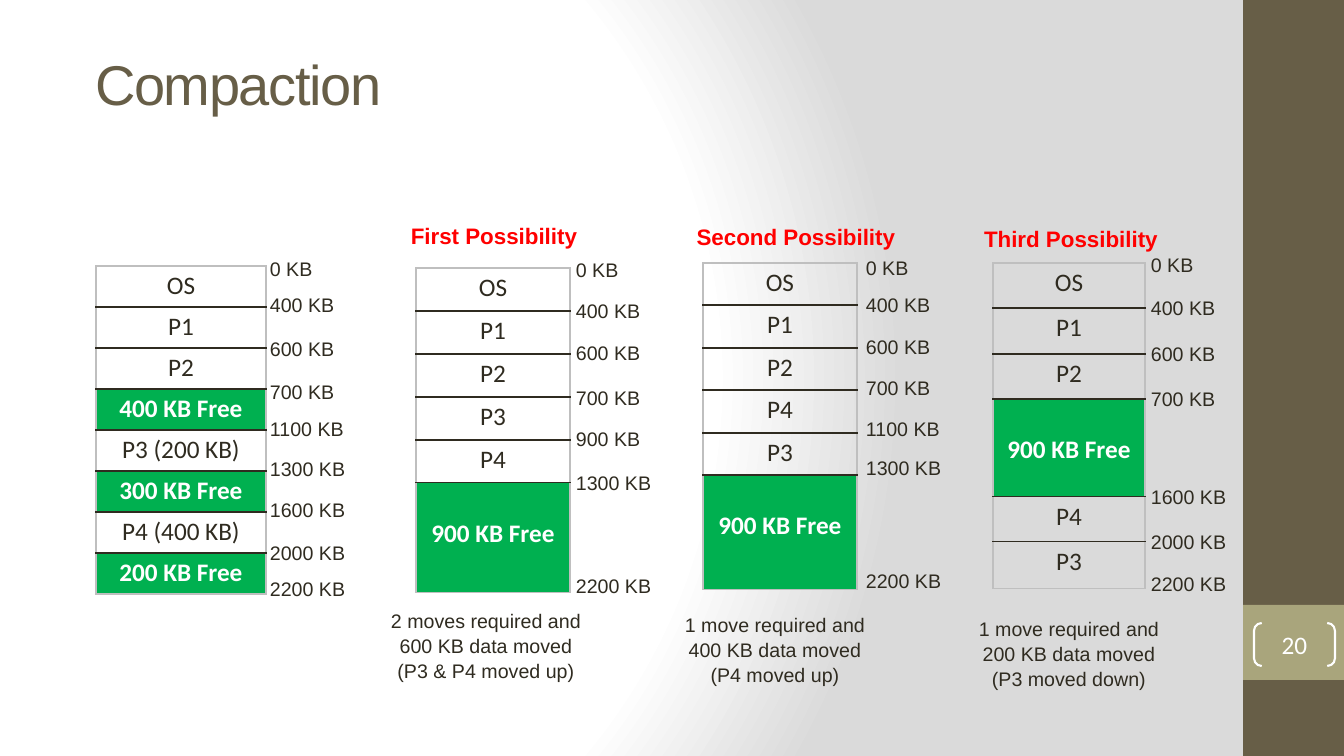
from lxml import etree
from pptx import Presentation
from pptx import util as u
from pptx.dml.color import RGBColor
from pptx.enum import shapes, text
from pptx.oxml import parse_xml

PX = u.Inches(7.5) / 756
DARK = RGBColor(0x2F, 0x2B, 0x20)
BROWN = RGBColor(0x67, 0x5E, 0x47)
OLIVE = RGBColor(0xA9, 0xA5, 0x7C)
GREEN = RGBColor(0x00, 0xB0, 0x50)
RED = RGBColor(0xFF, 0x00, 0x00)
WHITE = RGBColor(0xFF, 0xFF, 0xFF)
GREY = RGBColor(0xBF, 0xBF, 0xBF)
NS = "http://schemas.openxmlformats.org/drawingml/2006/main"
NSP = "http://schemas.openxmlformats.org/presentationml/2006/main"


def px(*nums):
    return [u.Emu(round(n * PX)) for n in nums]


def write(frame, words, size=14, face="Arial", color=DARK, bold=False,
          align=text.PP_ALIGN.CENTER, space=1.0):
    para = frame.paragraphs[0]
    para.alignment = align
    para.line_spacing = space
    run = para.add_run()
    run.text = words
    run.font.size = u.Pt(size)
    run.font.name = face
    run.font.bold = bold
    run.font.color.rgb = color
    return run


deck = Presentation()
deck.slide_width, deck.slide_height = px(1344, 756)
slide = deck.slides.add_slide(deck.slide_layouts[5])

slide.element.cSld.insert(0, parse_xml(f"""
<p:bg xmlns:p="{NSP}" xmlns:a="{NS}"><p:bgPr><a:gradFill rotWithShape="1"><a:gsLst>
<a:gs pos="0"><a:srgbClr val="FFFFFF"/></a:gs>
<a:gs pos="75000"><a:srgbClr val="FFFFFF"/></a:gs>
<a:gs pos="100000"><a:srgbClr val="DADADA"/></a:gs></a:gsLst>
<a:path path="circle"><a:fillToRect l="20000" t="50000" r="100000" b="50000"/></a:path>
</a:gradFill><a:effectLst/></p:bgPr></p:bg>"""))

title = slide.shapes.title
title.left, title.top, title.width, title.height = px(85, 61, 1100, 45)
title.text_frame.auto_size = text.MSO_AUTO_SIZE.NONE
title.text_frame.vertical_anchor = text.MSO_ANCHOR.MIDDLE
run = write(title.text_frame, "Compaction", size=40, color=BROWN, align=text.PP_ALIGN.LEFT)
run.font._element.set("spc", "-100")

for top, height, color in [(0, 756, BROWN), (605, 75, OLIVE)]:
    band = slide.shapes.add_shape(shapes.MSO_SHAPE.RECTANGLE, *px(1243, top, 101, height))
    band.shadow.inherit = False
    band.fill.solid()
    band.fill.fore_color.rgb = color
    band.line.fill.background()

page = slide.shapes.add_shape(shapes.MSO_SHAPE.DOUBLE_BRACKET, *px(1254, 623, 81, 43))
page.shadow.inherit = False
page.adjustments[0] = 0.18
page.fill.background()
page.line.color.rgb = WHITE
page.line.width = u.Pt(1.5)
frame = page.text_frame
frame.margin_left = frame.margin_right = frame.margin_top = frame.margin_bottom = 0
frame.vertical_anchor = text.MSO_ANCHOR.MIDDLE
write(frame, "20", size=18, face="Calibri", color=WHITE)

maps = [
    ((96, 266, 170), [41] * 8,
     ["OS", "P1", "P2", "400 KB Free", "P3 (200 KB)", "300 KB Free", "P4 (400 KB)", "200 KB Free"],
     260, [(0, 251), (400, 287), (600, 331), (700, 374), (1100, 411),
           (1300, 451), (1600, 492), (2000, 535), (2200, 571)]),
    ((416, 268, 154), [43] * 5 + [110],
     ["OS", "P1", "P2", "P3", "P4", "900 KB Free"],
     566, [(0, 252), (400, 293), (600, 335), (700, 380), (900, 421), (1300, 465), (2200, 568)]),
    ((703, 263, 154), [42, 43, 42, 43, 42, 115],
     ["OS", "P1", "P2", "P4", "P3", "900 KB Free"],
     856, [(0, 250), (400, 287), (600, 329), (700, 370), (1100, 411), (1300, 450), (2200, 563)]),
    ((993, 263, 152), [45, 46, 45, 98, 45, 47],
     ["OS", "P1", "P2", "900 KB Free", "P4", "P3"],
     1141, [(0, 247), (400, 290), (600, 336), (700, 381), (1600, 479), (2000, 524), (2200, 566)]),
]
for (left, top, width), rows, names, edge, marks in maps:
    grid = slide.shapes.add_table(len(rows), 1, *px(left, top, width, sum(rows))).table
    grid.first_row = grid.horz_banding = False
    for i, (height, name) in enumerate(zip(rows, names)):
        grid.rows[i].height = px(height)[0]
        cell = grid.cell(i, 0)
        free = name.endswith("Free")
        if free:
            cell.fill.solid()
            cell.fill.fore_color.rgb = GREEN
        else:
            cell.fill.background()
        cell.margin_top, cell.margin_bottom = px(36 if height > 90 else 5, 5)
        write(cell.text_frame, name, size=18, face="Calibri",
              color=WHITE if free else DARK, bold=free)
        sides = [("lnL", GREY), ("lnR", GREY), ("lnT", DARK if i else GREY),
                 ("lnB", DARK if i < len(rows) - 1 else GREY)]
        for k, (side, color) in enumerate(sides):
            line = etree.fromstring(
                f'<a:{side} xmlns:a="{NS}" w="12700"><a:solidFill>'
                f'<a:srgbClr val="{color}"/></a:solidFill></a:{side}>')
            cell._tc.get_or_add_tcPr().insert(k, line)
    group = slide.shapes.add_group_shape()
    for size, spot in marks:
        box = group.shapes.add_textbox(*px(edge, spot, 102 if size > 999 else 87, 34))
        box.text_frame.word_wrap = True
        write(box.text_frame, f"{size} KB", align=text.PP_ALIGN.LEFT, space=1.05)

cases = [
    ("First Possibility", 379, 216,
     "2 moves required and 600 KB data moved (P3 & P4 moved up)", 376, 603),
    ("Second Possibility", 681, 217,
     "1 move required and 400 KB data moved (P4 moved up)", 665, 607),
    ("Third Possibility", 956, 219,
     "1 move required and 200 KB data moved (P3 moved down)", 959, 611),
]
for head, left, top, note, side, base in cases:
    box = slide.shapes.add_textbox(*px(left, top, 230, 37))
    box.text_frame.word_wrap = True
    write(box.text_frame, head, size=16, color=RED, bold=True, space=1.05)
    box = slide.shapes.add_textbox(*px(side, base, 220, 82))
    box.text_frame.word_wrap = True
    write(box.text_frame, note, space=1.05)

deck.save("out.pptx")
